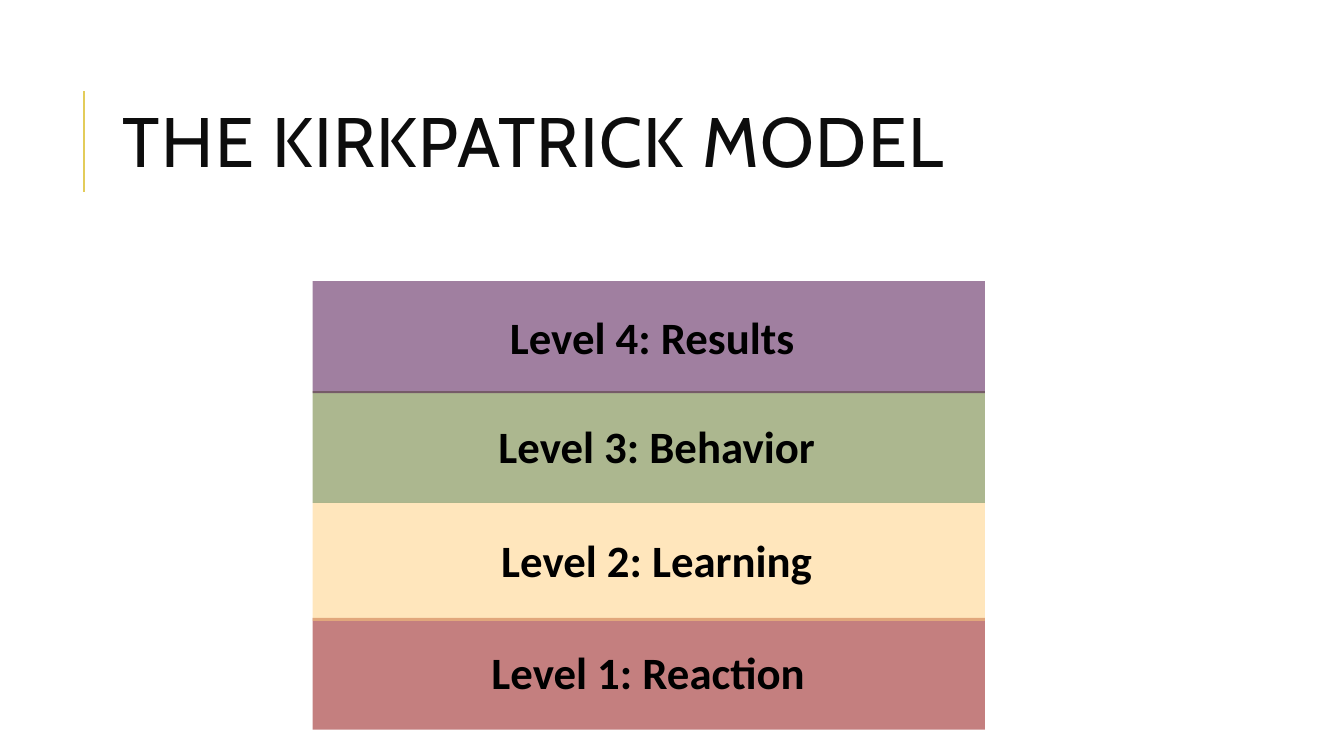
from dataclasses import dataclass

import pptx
import pptx.dml.color
import pptx.enum.shapes
import pptx.enum.text
import pptx.oxml.ns
import pptx.util
from lxml import etree
from pptx.util import Inches

COLORS = {
    "title": "0D0D0D",
    "label": "000000",
    "accent": "E3CC5A",
    "results": "420042",
    "behavior": "5A7121",
    "learning": "FFCF7B",
    "reaction": "8A0000",
}
BAND_LEFT, BAND_WIDTH = 3.1, 6.67


@dataclass
class Level:
    text: str
    color: str
    top: float
    height: float
    label_left: float
    label_top: float
    label_width: float


# Bottom level first, so that each higher level lies over the one below
LEVELS = [
    Level("Level 1: Reaction", "reaction", 6.13, 1.11, 4.47, 6.35, 3.92),
    Level("Level 2: Learning", "learning", 4.99, 1.17, 4.43, 5.24, 4.17),
    Level("Level 3: Behavior", "behavior", 3.88, 1.11, 4.43, 4.1, 4.17),
    Level("Level 4: Results", "results", 2.79, 1.11, 4.68, 3.02, 3.58),
]


def rgb(name: str) -> pptx.dml.color.RGBColor:
    return pptx.dml.color.RGBColor.from_string(COLORS[name])


def add_text(page, text: str, left: float, top: float, width: float, height: float,
             font: str, size: int, color: str, bold: bool = False):
    """Add a one-line text box and return its paragraph and run."""
    box = page.shapes.add_textbox(Inches(left), Inches(top), Inches(width), Inches(height))
    box.text_frame.word_wrap = True
    para = box.text_frame.paragraphs[0]
    span = para.add_run()
    span.text = text
    span.font.name = font
    span.font.size = pptx.util.Pt(size)
    span.font.bold = bold
    span.font.color.rgb = rgb(color)
    return box, para, span


def add_title(page) -> None:
    rule = page.shapes.add_connector(
        pptx.enum.shapes.MSO_CONNECTOR.STRAIGHT,
        Inches(0.83), Inches(1.9), Inches(0.83), Inches(0.9))
    rule.line.color.rgb = rgb("accent")
    rule.line.width = pptx.util.Pt(1.5)
    etree.SubElement(rule._element.spPr, pptx.oxml.ns.qn("a:effectLst"))

    box, para, span = add_text(page, "THE KIRKPATRICK MODEL", 1.12, 0.64, 10.63, 1.64,
                               "Cabin", 50, "title")
    box.text_frame.vertical_anchor = pptx.enum.text.MSO_ANCHOR.MIDDLE
    para.line_spacing = 0.8
    span.font._element.set("spc", "100")


def add_band(page, level: Level) -> None:
    band = page.shapes.add_shape(
        pptx.enum.shapes.MSO_SHAPE.RECTANGLE,
        Inches(BAND_LEFT), Inches(level.top), Inches(BAND_WIDTH), Inches(level.height))
    band.shadow.inherit = False
    band.line.fill.background()
    band.fill.solid()
    band.fill.fore_color.rgb = rgb(level.color)
    # Half transparent, so overlapping edges darken
    tint = band._element.spPr.find(".//" + pptx.oxml.ns.qn("a:srgbClr"))
    etree.SubElement(tint, pptx.oxml.ns.qn("a:alpha"), val="50000")


def add_label(page, level: Level) -> None:
    _, para, _ = add_text(page, level.text, level.label_left, level.label_top,
                          level.label_width, 0.64, "Calibri", 32, "label", bold=True)
    para.alignment = pptx.enum.text.PP_ALIGN.CENTER


def main() -> None:
    deck = pptx.Presentation()
    deck.slide_width, deck.slide_height = Inches(13.33), Inches(7.5)
    page = deck.slides.add_slide(deck.slide_layouts[6])

    add_title(page)

    # Bands first, then the labels above them
    for level in LEVELS:
        add_band(page, level)
    for level in LEVELS:
        add_label(page, level)

    deck.save("out.pptx")


if __name__ == "__main__":
    main()
